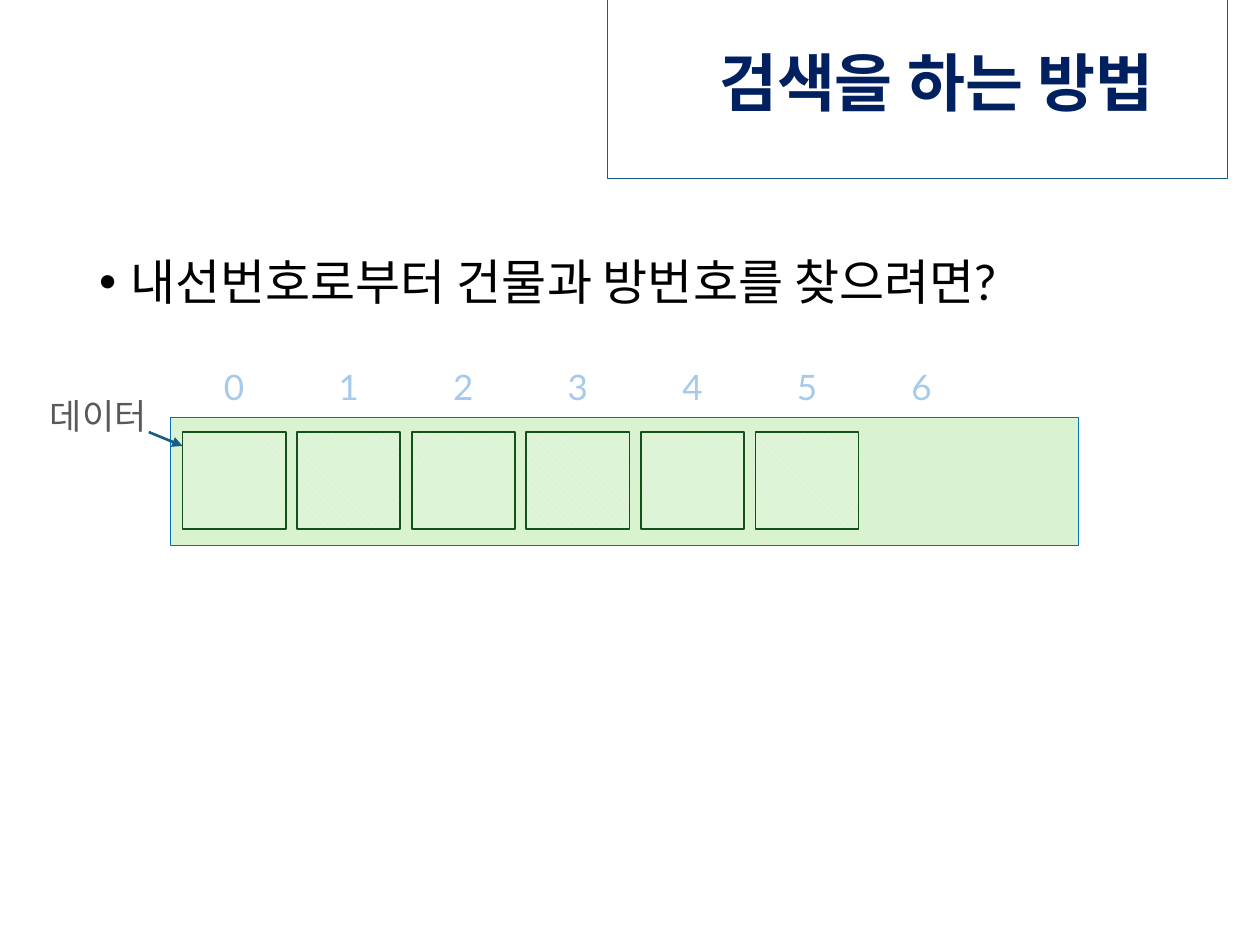
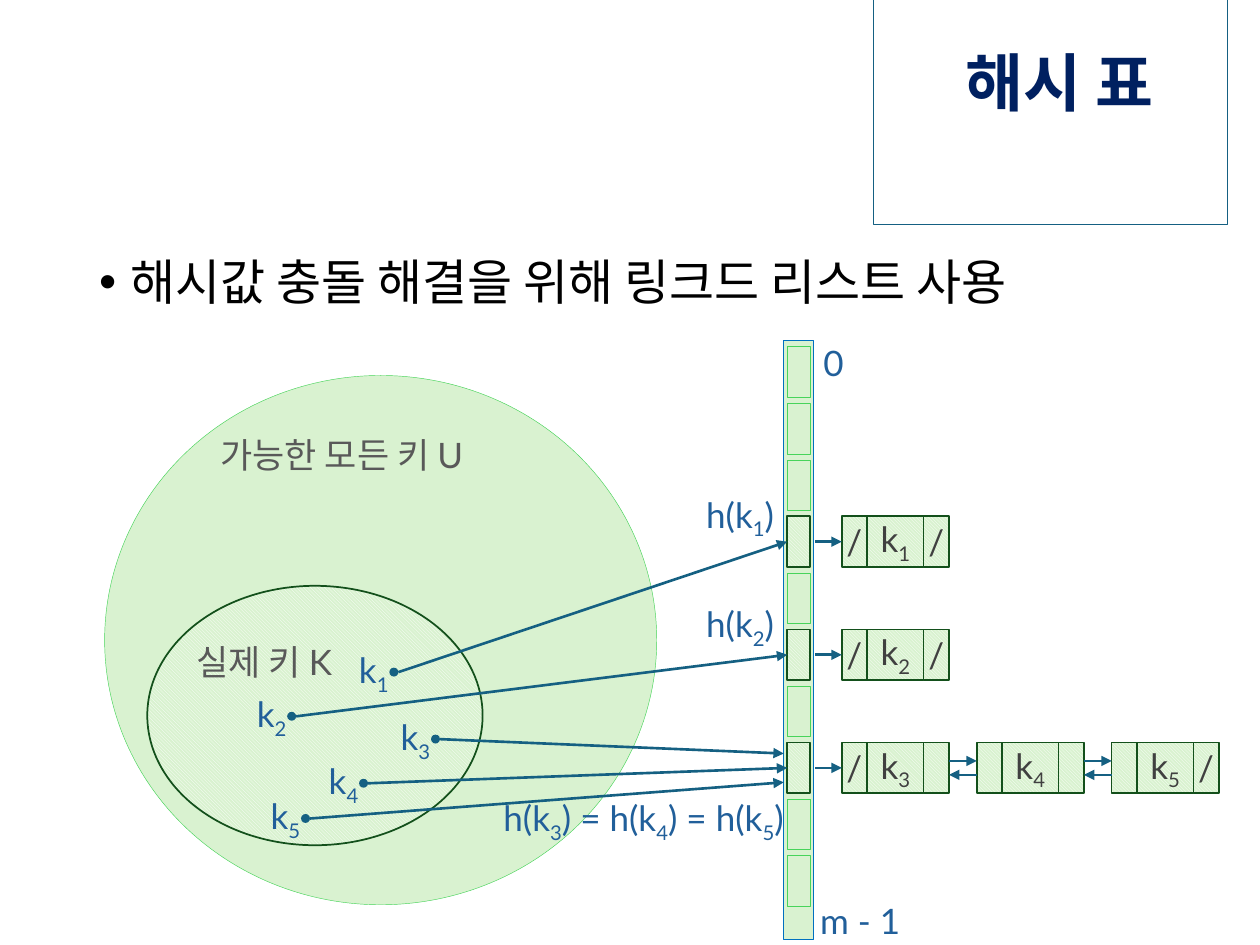
from pptx import Presentation
from pptx.dml.color import RGBColor
from pptx.enum.dml import MSO_PATTERN
from pptx.enum.shapes import MSO_CONNECTOR, MSO_SHAPE
from pptx.enum.text import MSO_ANCHOR, MSO_AUTO_SIZE, PP_ALIGN
from pptx.oxml.ns import qn
from pptx.util import Cm, Pt
from lxml.etree import SubElement

FONT = "Lato"
COLORS = {
    "title": "002060", "body": "000000", "arrow": "156082", "white": "FFFFFF",
    "pale": "D9F2D0", "band": "0070C0", "dark": "13501B", "light": "47D45A",
    "index": "A6CAEC", "gray": "595959", "key": "215F9A", "node": "404040",
}
TITLE_RIGHT = 24.75

SEARCH = {
    "title": "검색을 하는 방법", "title_width": 12.5,
    "bullet": "내선번호로부터 건물과 방번호를 찾으려면?",
    "indices": range(7), "filled": 6,
    "label": ("데이터", 0.53, 7.59, 2.9, 1.57),
}
HASH = {
    "title": "해시 표", "title_width": 7.14,
    "bullet": "해시값 충돌 해결을 위해 링크드 리스트 사용",
}
SET_LABELS = [
    ("가능한 모든 키 U", 4.19, 8.38, 6.99, 1.57),
    ("실제 키 K", 3.71, 12.55, 3.63, 1.57),
]
SLOT_COUNT = 10
CHAINS = {3: ["/k_1/"], 5: ["/k_2/"], 7: ["/k_3 ", " k_4 ", " k_5/"]}
KEYS = [
    ("k_1", 7.85, 13.46, 3, 0),
    ("k_2", 5.79, 14.35, 5, 0),
    ("k_3", 8.69, 14.81, 7, -0.29),
    ("k_4", 7.24, 15.7, 7, 0),
    ("k_5", 6.07, 16.41, 7, 0.29),
]
TABLE_LABELS = [
    ("0", 15.98, 6.91, 1.65, 0.79),
    ("m - 1", 15.93, 18.16, 2.82, 0.79),
    ("h(k_1)", 13.74, 10.03, 2.36, 0.79),
    ("h(k_2)", 13.74, 12.24, 2.36, 0.79),
    ("h(k_3) = h(k_4) = h(k_5)", 9.42, 16.15, 7.11, 0.79),
]


def rgb(name):
    return RGBColor.from_string(COLORS[name])


def add_run(p, text, size, color, bold=False, sub=False):
    r = p.add_run()
    r.text = text
    f = r.font
    f.name, f.size, f.bold = FONT, Pt(size), bold
    f.color.rgb = rgb(color)
    if sub:
        f._element.set("baseline", "-25000")


def write(tf, text, color, align=PP_ALIGN.CENTER):
    tf.vertical_anchor = MSO_ANCHOR.MIDDLE
    p = tf.paragraphs[0]
    p.alignment = align
    head, *rest = text.split("_")
    add_run(p, head, 20, color)
    for part in rest:
        add_run(p, part[0], 20, color, sub=True)
        if part[1:]:
            add_run(p, part[1:], 20, color)


def label(s, text, x, y, w, h, color, align=PP_ALIGN.CENTER):
    tf = s.shapes.add_textbox(Cm(x), Cm(y), Cm(w), Cm(h)).text_frame
    tf.word_wrap = True
    write(tf, text, color, align)


def shape(s, kind, x, y, w, h, fill=None, line=None, width=1):
    sp = s.shapes.add_shape(kind, Cm(x), Cm(y), Cm(w), Cm(h))
    sp.shadow.inherit = False
    if fill == "hatch":
        sp.fill.patterned()
        sp.fill.pattern = MSO_PATTERN.DARK_DOWNWARD_DIAGONAL
        sp.fill.fore_color.rgb = rgb("white")
        sp.fill.back_color.rgb = rgb("pale")
    elif fill:
        sp.fill.solid()
        sp.fill.fore_color.rgb = rgb(fill)
    else:
        sp.fill.background()
    if line:
        sp.line.color.rgb = rgb(line)
        sp.line.width = Pt(width)
    else:
        sp.line.fill.background()
    return sp


def box(s, *args):
    return shape(s, MSO_SHAPE.RECTANGLE, *args)


def oval(s, *args):
    return shape(s, MSO_SHAPE.OVAL, *args)


def arrow(s, x1, y1, x2, y2, target=None):
    c = s.shapes.add_connector(MSO_CONNECTOR.STRAIGHT, Cm(x1), Cm(y1), Cm(x2), Cm(y2))
    if target is not None:
        c.end_connect(target, 1)
    c.line.color.rgb = rgb("arrow")
    c.line.width = Pt(1.5)
    SubElement(c.line._get_or_add_ln(), qn("a:tailEnd"), type="triangle")
    SubElement(c._element.spPr, qn("a:effectLst"))


def new_slide(prs, content):
    s = prs.slides.add_slide(prs.slide_layouts[5])
    t = s.shapes.title
    w = content["title_width"]
    t.left, t.top, t.width, t.height = Cm(TITLE_RIGHT - w), Cm(0.74), Cm(w), Cm(1.68)
    t.line.color.rgb = rgb("arrow")
    t.line.width = Pt(0.75)
    tf = t.text_frame
    tf.word_wrap = False
    tf.auto_size = MSO_AUTO_SIZE.SHAPE_TO_FIT_TEXT
    tf.vertical_anchor = MSO_ANCHOR.MIDDLE
    tf.margin_left = tf.margin_right = Cm(1.5)
    tf.margin_top, tf.margin_bottom = Cm(0.3), 0
    p = tf.paragraphs[0]
    p.alignment, p.line_spacing = PP_ALIGN.RIGHT, 0.9
    add_run(p, content["title"], 36, "title", bold=True)

    tf = s.shapes.add_textbox(Cm(1.75), Cm(5.08), Cm(23.65), Cm(12.09)).text_frame
    tf.word_wrap = True
    p = tf.paragraphs[0]
    p.line_spacing = 0.9
    pPr = p._p.get_or_add_pPr()
    pPr.set("marL", str(Cm(0.64)))
    pPr.set("indent", str(-Cm(0.64)))
    SubElement(pPr, qn("a:buFont"), typeface="Arial")
    SubElement(pPr, qn("a:buChar"), char="•")
    add_run(p, content["bullet"], 28, "body")
    return s


def search_slide(prs):
    s = new_slide(prs, SEARCH)
    box(s, 3.43, 8.41, 18.31, 2.59, "pale", "band", 0.5)
    first, pitch, side = 3.68, 2.31, 2.08
    for i in SEARCH["indices"]:
        x = first + i * pitch
        label(s, str(i), x, 7.01, side, 1.57, "index")
        if i < SEARCH["filled"]:
            box(s, x, 8.71, side, 1.96, "hatch", "dark")
    label(s, *SEARCH["label"], "gray")
    arrow(s, 3, 8.71, first, 8.99)


def add_node(s, x, y, parts):
    boxes = []
    for text, w in zip((parts[0], parts[1:-1], parts[-1]), (0.51, 1.14, 0.51)):
        sp = box(s, x, y, w, 1.02, "hatch", "dark")
        tf = sp.text_frame
        tf.word_wrap = False
        tf.margin_left = tf.margin_right = tf.margin_top = tf.margin_bottom = 0
        if text.strip():
            write(tf, text, "node")
        boxes.append(sp)
        x += w
    return boxes[0]


def hash_slide(prs):
    s = new_slide(prs, HASH)
    oval(s, 2.11, 7.57, 11.13, 10.67, "pale", "light", 0.25)
    oval(s, 2.97, 11.81, 6.76, 5.23, "hatch", "dark")
    for item in SET_LABELS:
        label(s, *item, "gray", PP_ALIGN.LEFT)

    table_x, slot_x, slot_h = 15.8, 15.87, 1.02
    box(s, table_x, 6.86, 0.61, 12.09, "pale", "band", 0.5)
    slots = []
    for i in range(SLOT_COUNT):
        style = ("hatch", "dark", 1) if i in CHAINS else (None, "light", 0.25)
        slots.append(box(s, slot_x, 6.99 + i * 1.14, 0.46, slot_h, *style))

    dot = 0.18
    for text, x, y, slot, shift in KEYS:
        oval(s, x, y, dot, dot, "arrow")
        label(s, text, x - 1.14, y - 0.3, 1.65, 0.79, "key")
        end_y = slots[slot].top.cm + slot_h / 2 + shift
        arrow(s, x + dot, y + dot / 2, table_x if shift else slot_x, end_y,
              None if shift else slots[slot])

    node_x, node_w, pitch = 16.97, 2.16, 2.72
    for slot, chain in CHAINS.items():
        top = slots[slot].top.cm
        mid = top + slot_h / 2
        for i, parts in enumerate(chain):
            x = node_x + i * pitch
            node = add_node(s, x, top, parts)
            if i == 0:
                arrow(s, 16.43, mid, x, mid, node)
            else:
                prev = x - pitch + node_w
                arrow(s, prev, mid - 0.14, x, mid - 0.14)
                arrow(s, x, mid + 0.14, prev, mid + 0.14)

    for item in TABLE_LABELS:
        label(s, *item, "key")


def main():
    prs = Presentation()
    prs.slide_width, prs.slide_height = Cm(25.4), Cm(19.05)
    search_slide(prs)
    hash_slide(prs)
    prs.save("out.pptx")


if __name__ == "__main__":
    main()
